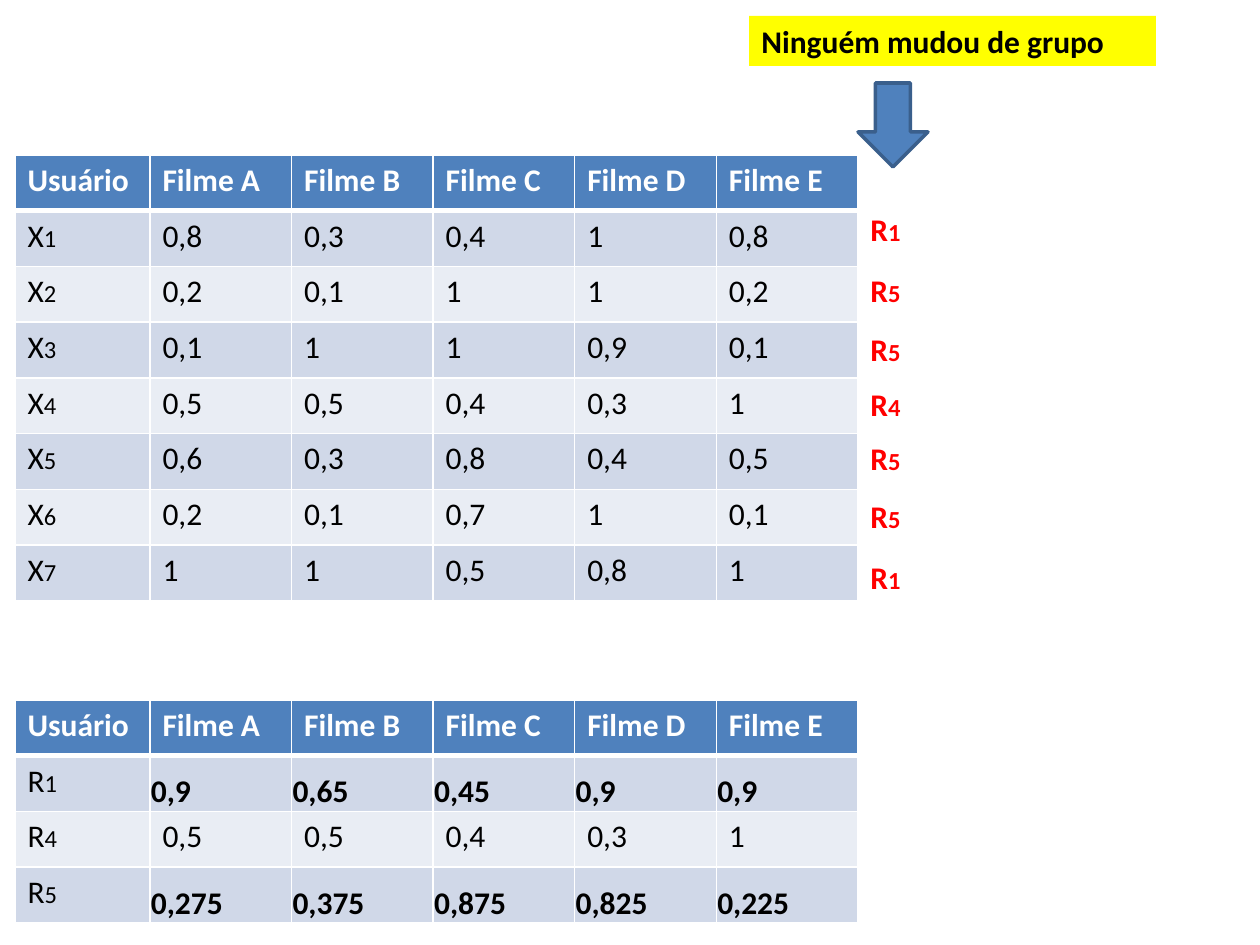
from lxml.etree import SubElement
from pptx import Presentation
from pptx.dml.color import RGBColor as RGB
from pptx.enum.shapes import MSO_SHAPE as SHAPE
from pptx.enum.text import MSO_ANCHOR as ANCHOR, MSO_AUTO_SIZE as AUTO
from pptx.oxml.ns import qn
from pptx.util import Pt

PX = 7257.14  # EMU per px, 126 px to the inch
COLORS = {
    "head": "4F81BD", "odd": "D0D8E8", "even": "E9EDF4", "white": "FFFFFF",
    "black": "000000", "red": "FF0000", "note": "FFFF00", "edge": "3A5F8C",
}
HEAD = ["Usuário"] + [f"Filme {c}" for c in "ABCDE"]
USERS = [
    ("X1", "0,8 0,3 0,4 1 0,8"),
    ("X2", "0,2 0,1 1 1 0,2"),
    ("X3", "0,1 1 1 0,9 0,1"),
    ("X4", "0,5 0,5 0,4 0,3 1"),
    ("X5", "0,6 0,3 0,8 0,4 0,5"),
    ("X6", "0,2 0,1 0,7 1 0,1"),
    ("X7", "1 1 0,5 0,8 1"),
]
MEANS = [
    ("R1", "0,9 0,65 0,45 0,9 0,9"),
    ("R4", "0,5 0,5 0,4 0,3 1"),
    ("R5", "0,275 0,375 0,875 0,825 0,225"),
]
GROUPS = [("R1", 204), ("R5", 265), ("R5", 324), ("R4", 379),
          ("R5", 433), ("R5", 491), ("R1", 552)]


def emu(*px):
    return [round(n * PX) for n in px]


def rgb(name):
    return RGB.from_string(COLORS[name])


class Deck:
    font, size, small = "Calibri", 18, 14

    def __init__(self):
        self.prs = Presentation()
        self.prs.slide_width, self.prs.slide_height = emu(1260, 945)
        self.slide = self.prs.slides.add_slide(self.prs.slide_layouts[6])

    def run(self, para, text, color, bold, size=None):
        run = para.add_run()
        run.text = text
        font = run.font
        font.name, font.size, font.bold = self.font, Pt(size or self.size), bold
        font.color.rgb = rgb(color)

    def index(self, para, name, color, bold):
        """Write a letter followed by its smaller number."""
        self.run(para, name[0], color, bold)
        self.run(para, name[1:], color, bold, self.small)

    def borders(self, cell, row):
        props = cell._tc.get_or_add_tcPr()
        thick = {"lnT": row == 1, "lnB": row == 0}
        for side in ("lnL", "lnR", "lnT", "lnB"):
            width = Pt(3 if thick.get(side) else 1)
            line = SubElement(props, qn(f"a:{side}"), w=str(width))
            fill = SubElement(line, qn("a:solidFill"))
            SubElement(fill, qn("a:srgbClr"), val=COLORS["white"])

    def table(self, x, y, w, h, data, bold=()):
        """Draw a table; value cells of the bold rows sit tight at the bottom."""
        rows = [HEAD] + [[name, *vals.split()] for name, vals in data]
        table = self.slide.shapes.add_table(
            len(rows), len(HEAD), *emu(x, y, w, h)).table
        first = 135
        rest = (w - first) / (len(HEAD) - 1)
        for c, col in enumerate(table.columns):
            col.width = emu(rest if c else first)[0]
        for r, row in enumerate(rows):
            table.rows[r].height = emu(h / len(rows))[0]
            for c, text in enumerate(row):
                cell = table.cell(r, c)
                self.borders(cell, r)
                cell.fill.solid()
                shade = "head" if r == 0 else "odd" if r % 2 else "even"
                cell.fill.fore_color.rgb = rgb(shade)
                para = cell.text_frame.paragraphs[0]
                if r == 0:
                    self.run(para, text, "white", True)
                elif c == 0:
                    self.index(para, text, "black", False)
                else:
                    mean = row[0] in bold
                    self.run(para, text, "black", mean)
                    if mean:
                        cell.vertical_anchor = ANCHOR.BOTTOM
                        (cell.margin_left, cell.margin_top, cell.margin_right,
                         cell.margin_bottom) = emu(1, 1, 1, 0)

    def box(self, x, y, w, h, fill=None):
        """Add a text box and return its first paragraph."""
        box = self.slide.shapes.add_textbox(*emu(x, y, w, h))
        if fill:
            box.fill.solid()
            box.fill.fore_color.rgb = rgb(fill)
        frame = box.text_frame
        frame.word_wrap, frame.auto_size = True, AUTO.SHAPE_TO_FIT_TEXT
        return frame.paragraphs[0]

    def label(self, x, y, w, h, name):
        self.index(self.box(x, y, w, h), name, "red", True)

    def note(self, x, y, w, h, text):
        self.run(self.box(x, y, w, h, "note"), text, "black", True)

    def arrow(self, x, y, w, h):
        arrow = self.slide.shapes.add_shape(SHAPE.DOWN_ARROW, *emu(x, y, w, h))
        arrow.shadow.inherit = False
        arrow.fill.solid()
        arrow.fill.fore_color.rgb = rgb("head")
        arrow.line.color.rgb = rgb("edge")
        arrow.line.width = Pt(2)


def main():
    deck = Deck()
    deck.table(15, 155, 843, 446, USERS)
    for name, top in GROUPS:
        deck.label(858, top, 70, 50, name)
    deck.table(15, 700, 843, 223, MEANS, bold=("R1", "R5"))
    deck.note(749, 16, 407, 50, "Ninguém mudou de grupo")
    deck.arrow(858, 83, 70, 84)
    deck.prs.save("out.pptx")


if __name__ == "__main__":
    main()
